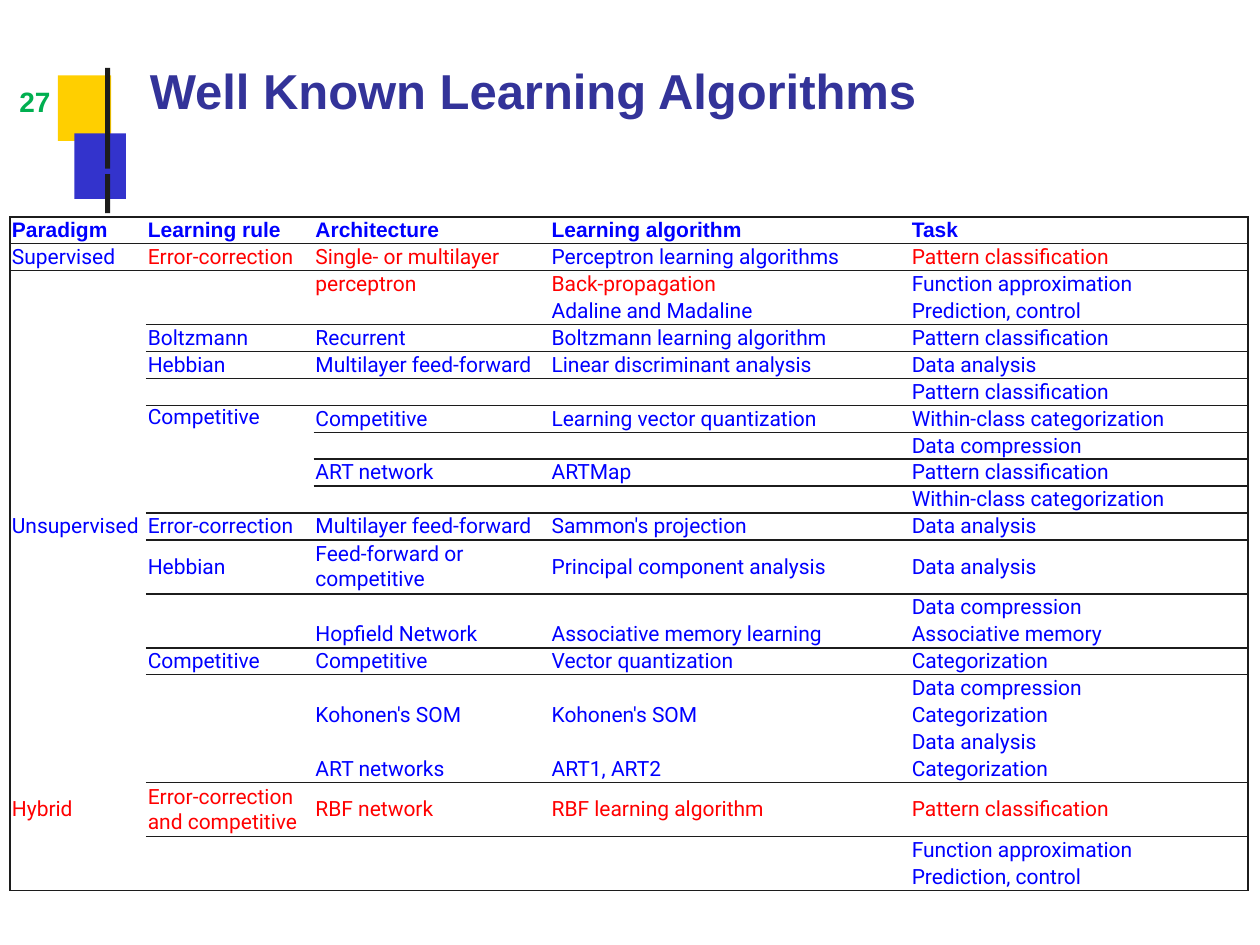
"""Build a slide that tabulates well known learning algorithms by paradigm."""
import pptx
import pptx.dml.color
import pptx.enum.shapes
import pptx.enum.text
import pptx.oxml.ns
import pptx.util
from lxml import etree

Cm = pptx.util.Cm
Pt = pptx.util.Pt
RGBColor = pptx.dml.color.RGBColor
ANCHOR = pptx.enum.text.MSO_ANCHOR

BLUE = RGBColor(0x00, 0x00, 0xFF)
RED = RGBColor(0xFF, 0x00, 0x00)
GREEN = RGBColor(0x00, 0xAF, 0x50)
INDIGO = RGBColor(0x33, 0x33, 0x99)
YELLOW = RGBColor(0xFF, 0xCF, 0x00)
SQUARE_BLUE = RGBColor(0x33, 0x33, 0xCC)
INK = RGBColor(0x1C, 0x1C, 0x1C)

TITLE = "Well Known Learning Algorithms"
PAGE_NUMBER = "27"
ALGORITHMS = [
    ("Paradigm", "Learning rule", "Architecture", "Learning algorithm", "Task"),
    ("Supervised", "Error-correction", "Single- or multilayer",
     "Perceptron learning algorithms", "Pattern classification"),
    ("", "", "perceptron", "Back-propagation", "Function approximation"),
    ("", "", "", "Adaline and Madaline", "Prediction, control"),
    ("", "Boltzmann", "Recurrent", "Boltzmann learning algorithm", "Pattern classification"),
    ("", "Hebbian", "Multilayer feed-forward", "Linear discriminant analysis", "Data analysis"),
    ("", "", "", "", "Pattern classification"),
    ("", "Competitive", "Competitive", "Learning vector quantization",
     "Within-class categorization"),
    ("", "", "", "", "Data compression"),
    ("", "", "ART network", "ARTMap", "Pattern classification"),
    ("", "", "", "", "Within-class categorization"),
    ("Unsupervised", "Error-correction", "Multilayer feed-forward",
     "Sammon's projection", "Data analysis"),
    ("", "Hebbian", "Feed-forward or\ncompetitive", "Principal component analysis",
     "Data analysis"),
    ("", "", "", "", "Data compression"),
    ("", "", "Hopfield Network", "Associative memory learning", "Associative memory"),
    ("", "Competitive", "Competitive", "Vector quantization", "Categorization"),
    ("", "", "", "", "Data compression"),
    ("", "", "Kohonen's SOM", "Kohonen's SOM", "Categorization"),
    ("", "", "", "", "Data analysis"),
    ("", "", "ART networks", "ART1, ART2", "Categorization"),
    ("Hybrid", "Error-correction and competitive", "RBF network",
     "RBF learning algorithm", "Pattern classification"),
    ("", "", "", "", "Function approximation"),
    ("", "", "", "", "Prediction, control"),
]
RED_CELLS = {(1, 1), (1, 2), (1, 4), (2, 2), (2, 3)} | {(20, column) for column in range(5)}
RULE_STARTS = {-1: 0, 0: 0, 1: 0, 3: 1, 4: 1, 5: 1, 6: 1, 7: 2, 8: 2, 9: 2, 10: 1,
               11: 1, 12: 1, 14: 1, 15: 1, 19: 1, 20: 1, 22: 0}
DOUBLE_ROWS = {12, 20}
COMPETITIVE_ROWS = (7, 10)
COLUMN_WIDTHS = (2.74, 3.38, 4.57, 6.73, 7.54)
COLUMN_INDENTS = (0.04, 0.04, 0.04, 0.23, 0.76)
TABLE_LEFT, TABLE_TOP, TABLE_HEIGHT = 0.2, 4.37, 13.59
ORNAMENTS = [
    (1.17, 1.52, 1.07, 1.32, YELLOW),
    (1.5, 2.69, 1.04, 1.32, SQUARE_BLUE),
    (2.12, 1.37, 0.1, 2.03, INK),
    (2.12, 3.51, 0.1, 0.79, INK),
]


def add_run(paragraph, text, size, color, font, bold):
    run = paragraph.add_run()
    run.text = text
    run.font.size = Pt(size)
    run.font.name = font
    run.font.bold = bold
    run.font.color.rgb = color


def set_margins(frame, left=0, top=0):
    frame.margin_left, frame.margin_top = Cm(left), Cm(top)
    frame.margin_right = frame.margin_bottom = 0


def add_border(cell, side, visible):
    properties = cell._tc.get_or_add_tcPr()
    line = etree.SubElement(properties, pptx.oxml.ns.qn("a:ln" + side), w=str(Pt(1)))
    if visible:
        fill = etree.SubElement(line, pptx.oxml.ns.qn("a:solidFill"))
        etree.SubElement(fill, pptx.oxml.ns.qn("a:srgbClr"), val=str(INK))
    else:
        etree.SubElement(line, pptx.oxml.ns.qn("a:noFill"))


def has_rule(row, column):
    return column >= RULE_STARTS.get(row, len(COLUMN_WIDTHS))


def fill_cell(cell, row, column, text):
    set_margins(cell, COLUMN_INDENTS[column])
    cell.vertical_anchor = ANCHOR.MIDDLE
    borders = (("L", column == 0), ("R", column == len(COLUMN_WIDTHS) - 1),
               ("T", has_rule(row - 1, column)), ("B", has_rule(row, column)))
    for side, visible in borders:
        add_border(cell, side, visible)
    cell.fill.background()
    color = RED if (row, column) in RED_CELLS else BLUE
    frame = cell.text_frame
    for index, line in enumerate(text.split("\n")):
        paragraph = frame.add_paragraph() if index else frame.paragraphs[0]
        if line:
            add_run(paragraph, line, 12, color, "Roboto" if row else "Arial", row == 0)
        else:
            etree.SubElement(paragraph._p, pptx.oxml.ns.qn("a:endParaRPr"), sz="1000")


def add_algorithm_table(slide):
    table = slide.shapes.add_table(
        len(ALGORITHMS), len(COLUMN_WIDTHS), Cm(TABLE_LEFT), Cm(TABLE_TOP),
        Cm(sum(COLUMN_WIDTHS)), Cm(TABLE_HEIGHT)).table
    table.first_row = table.horz_banding = False
    for column, width in zip(table.columns, COLUMN_WIDTHS):
        column.width = Cm(width)
    line_height = TABLE_HEIGHT / (len(ALGORITHMS) + len(DOUBLE_ROWS))
    for row, texts in enumerate(ALGORITHMS):
        table.rows[row].height = Cm(line_height * (2 if row in DOUBLE_ROWS else 1))
        for column, text in enumerate(texts):
            fill_cell(table.cell(row, column), row, column, text)
    first, last = COMPETITIVE_ROWS
    competitive = table.cell(first, 1)
    competitive.merge(table.cell(last, 1))
    competitive.vertical_anchor = ANCHOR.TOP


def main():
    deck = pptx.Presentation()
    deck.slide_width, deck.slide_height = Cm(25.4), Cm(19.05)
    slide = deck.slides.add_slide(deck.slide_layouts[5])

    for left, top, width, height, color in ORNAMENTS:
        ornament = slide.shapes.add_shape(
            pptx.enum.shapes.MSO_SHAPE.RECTANGLE, Cm(left), Cm(top), Cm(width), Cm(height))
        ornament.shadow.inherit = False
        ornament.fill.solid()
        ornament.fill.fore_color.rgb = color
        ornament.line.fill.background()

    title = slide.shapes.title
    title.left, title.top, title.width, title.height = Cm(2.13), Cm(0.38), Cm(23.27), Cm(3.1)
    page = slide.shapes.add_textbox(Cm(0.36), Cm(1.68), Cm(0.8), Cm(0.74))
    for shape, text, size, color, left, top in (
            (title, TITLE, 28, INDIGO, 0.89, 0.84),
            (page, PAGE_NUMBER, 16, GREEN, 0.03, 0.03)):
        frame = shape.text_frame
        frame.word_wrap = True
        frame.auto_size = pptx.enum.text.MSO_AUTO_SIZE.NONE
        frame.vertical_anchor = ANCHOR.TOP
        set_margins(frame, left, top)
        frame.paragraphs[0].alignment = pptx.enum.text.PP_ALIGN.LEFT
        add_run(frame.paragraphs[0], text, size, color, "Arial", True)

    add_algorithm_table(slide)
    deck.save("out.pptx")


if __name__ == "__main__":
    main()
